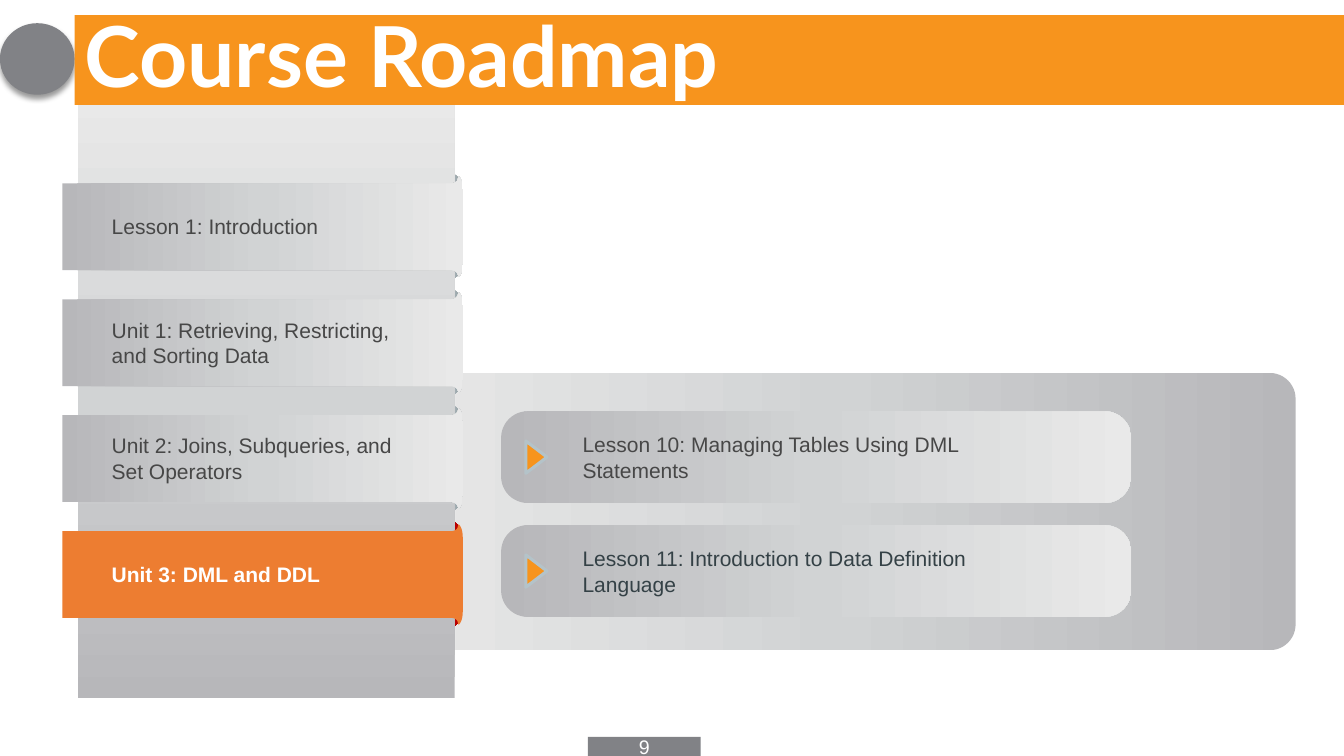
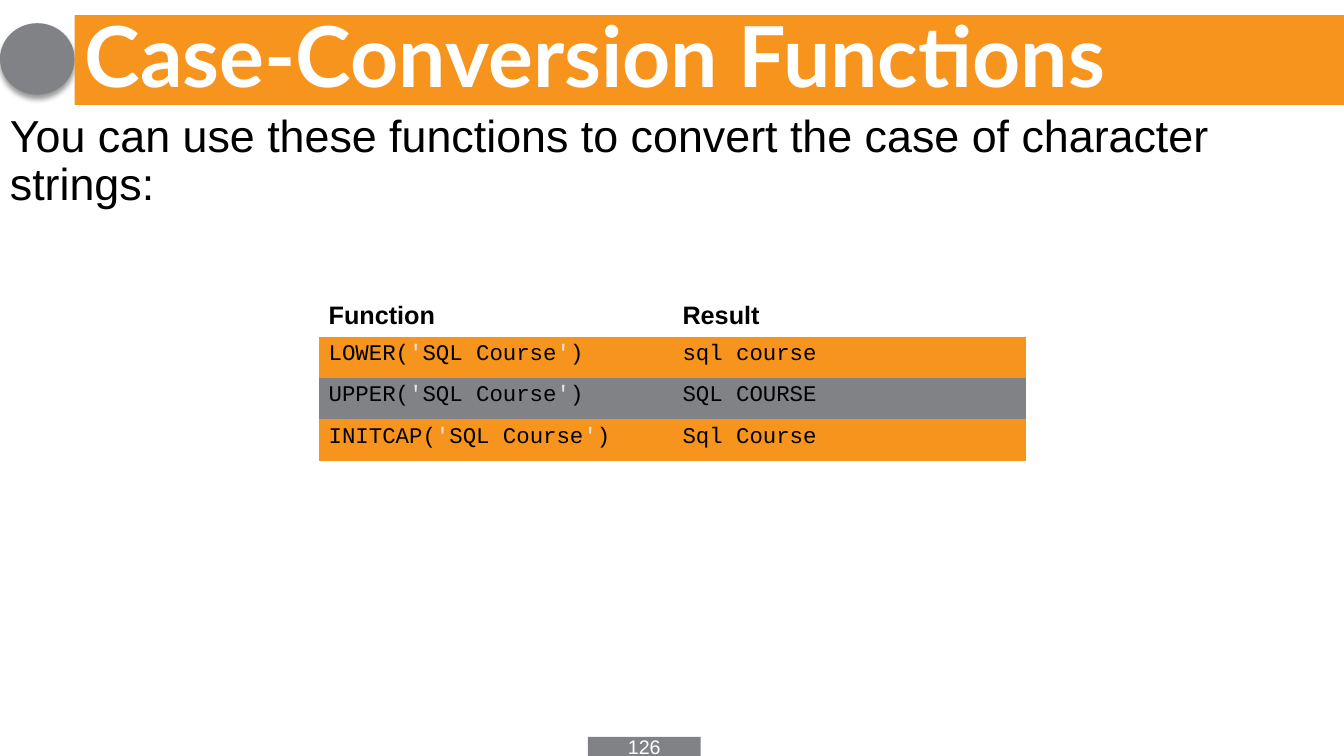
from dataclasses import dataclass

from lxml import etree
from pptx import Presentation
from pptx import util as u
from pptx.dml.color import RGBColor
from pptx.enum import shapes, text
from pptx.oxml import ns

Inches = u.Inches
SHAPE = shapes.MSO_SHAPE


@dataclass(frozen=True)
class Theme:
    orange: str = "F7941D"
    active: str = "ED7D31"
    grey: str = "818286"
    white: str = "FFFFFF"
    black: str = "000000"
    ink: str = "474747"
    slate: str = "344146"
    quote: str = "E7E6E6"
    marker_edge: str = "B4C3C9"
    silver: tuple = ((0, "B7B7BA"), (50, "D1D3D4"), (100, "E9E9E9"))
    tab: tuple = ((0, "DEE4E5"), (77, "DEE4E5"), (99, "96A2A7"), (100, "96A2A7"))
    active_tab: tuple = ((0, "5B9BD5"), (73, "5B9BD5"), (92, "BA0000"), (100, "BA0000"))
    title_font: str = "Lato"
    body_font: str = "Arial"
    code_font: str = "Courier New"
    title_size: int = 60
    body_size: int = 32
    head_size: int = 18
    code_size: int = 16
    label_size: int = 15
    number_size: int = 14


T = Theme()
LABEL = dict(name=T.body_font, size=T.label_size, color=T.ink)
TITLE = dict(name=T.title_font, size=T.title_size, color=T.white, bold=True)
BODY = dict(name=T.body_font, size=T.body_size, color=T.black)
NUMBER = dict(name=T.body_font, size=T.number_size, color=T.white)
HEAD = dict(name=T.body_font, size=T.head_size, color=T.black, bold=True)
CODE = dict(name=T.code_font, size=T.code_size, color=T.black, bold=False)
NO_GRID_STYLE = "{2D5ABB26-0587-4C30-8999-92F81FD0307C}"


def set_font(font, style):
    for key, value in style.items():
        if key == "color":
            font.color.rgb = RGBColor.from_string(value)
        else:
            setattr(font, key, u.Pt(value) if key == "size" else value)


def write(frame, words, style, anchor=text.MSO_ANCHOR.MIDDLE, **paragraph_format):
    frame.word_wrap = True
    frame.vertical_anchor = anchor
    paragraph = frame.paragraphs[0]
    for key, value in {"alignment": text.PP_ALIGN.LEFT, **paragraph_format}.items():
        setattr(paragraph, key, value)
    run = paragraph.add_run()
    run.text = words
    set_font(run.font, style)


def add_label(slide, box, words, style, **options):
    label = slide.shapes.add_textbox(*map(Inches, box))
    write(label.text_frame, words, style, **options)


def paint(shape, fill, angle=0):
    """Fill with one colour, or with gradient stops at a clockwise angle."""
    shape.shadow.inherit = False
    shape.line.fill.background()
    if isinstance(fill, str):
        shape.fill.solid()
        shape.fill.fore_color.rgb = RGBColor.from_string(fill)
        return
    shape.fill.gradient()
    shape.fill.gradient_angle = -angle % 360
    stops = shape.element.spPr.find(".//" + ns.qn("a:gsLst"))
    for stop in list(stops):
        stops.remove(stop)
    for percent, color in fill:
        stop = etree.SubElement(stops, ns.qn("a:gs"), pos=str(percent * 1000))
        etree.SubElement(stop, ns.qn("a:srgbClr"), val=color)


def add_block(slide, kind, box, fill, angle=0, corner=None):
    block = slide.shapes.add_shape(kind, *map(Inches, box))
    paint(block, fill, angle)
    if corner is not None:
        block.adjustments[0] = corner
    return block


def add_soft_shadow(shape):
    effects = shape.element.spPr.find(ns.qn("a:effectLst"))
    shadow = etree.SubElement(
        effects, ns.qn("a:outerShdw"), blurRad=str(u.Pt(4)), dist=str(u.Pt(3)),
        dir="5400000", algn="t", rotWithShape="0")
    color = etree.SubElement(shadow, ns.qn("a:srgbClr"), val=T.black)
    etree.SubElement(color, ns.qn("a:alpha"), val="40000")


def curve(start, control_1, control_2, end, steps=6):
    """Points of a cubic curve."""
    points = []
    for step in range(steps + 1):
        t = step / steps
        weights = ((1 - t) ** 3, 3 * t * (1 - t) ** 2, 3 * t * t * (1 - t), t ** 3)
        pairs = zip(start, control_1, control_2, end)
        points.append(tuple(sum(w * v for w, v in zip(weights, axis)) for axis in pairs))
    return points


def add_ribbon(slide, left, top, width, height, fill):
    """Band whose right end flares out and wraps round the column."""
    right = width
    upper = [(0, 0.07)]
    upper += curve((right - 0.12, 0.07), (right - 0.09, 0.07),
                   (right - 0.06, 0.06), (right - 0.05, 0.03))
    upper += curve((right - 0.04, 0), (right - 0.01, 0.03),
                   (right, 0.08), (right, 0.13))
    lower = [(x, height - y) for x, y in reversed(upper)]
    outline = [(Inches(x), Inches(y)) for x, y in upper + lower]
    builder = slide.shapes.build_freeform(*outline[0])
    builder.add_line_segments(outline[1:], close=True)
    paint(builder.convert_to_shape(Inches(left), Inches(top)), fill)


def add_frame(slide, title, number):
    """Title band, disc and page number shared by all slides."""
    add_soft_shadow(add_block(slide, SHAPE.OVAL, (0, 0.23, 0.74, 0.71), T.grey))
    band = add_block(slide, SHAPE.RECTANGLE, (0.74, 0.15, 12.6, 0.89), T.orange)
    write(band.text_frame, title, TITLE, line_spacing=0.9)
    plate = add_block(slide, SHAPE.RECTANGLE, (5.83, 7.31, 1.12, 0.19), T.grey)
    write(plate.text_frame, number, NUMBER, alignment=text.PP_ALIGN.CENTER)


def add_lessons(slide, box, lessons):
    """Panel with one card per lesson."""
    left, top = box[:2]
    add_block(slide, SHAPE.ROUNDED_RECTANGLE, box, T.silver, 180, 0.093)
    for index, (lesson, color) in enumerate(lessons):
        x, y = left + 1.2, top + 0.38 + 1.13 * index
        add_block(slide, SHAPE.ROUNDED_RECTANGLE, (x, y, 6.25, 0.91), T.silver, corner=0.289)
        add_label(slide, (x + 0.71, y + 0.15, 4.47, 0.61), lesson, {**LABEL, "color": color})
        marker = add_block(slide, SHAPE.ISOSCELES_TRIANGLE,
                           (x + 0.19, y + 0.35, 0.32, 0.21), T.orange)
        marker.rotation = 90
        marker.line.color.rgb = RGBColor.from_string(T.marker_edge)
        marker.line.width = u.Pt(2.25)


def add_units(slide, box, units, active):
    """Column with one wrapped ribbon per unit, the active one highlighted."""
    left, top, width, _ = box
    ribbon_tops = [top + 0.83 + 1.15 * index for index in range(len(units))]
    for unit, y in zip(units, ribbon_tops):
        add_block(slide, SHAPE.ROUNDED_RECTANGLE, (left + 2.75, y - 0.04, 1.05, 1.07),
                  T.active_tab if unit == active else T.tab, corner=0.126)
    add_block(slide, SHAPE.RECTANGLE, box, T.silver, 270)
    for unit, y in zip(units, ribbon_tops):
        chosen = unit == active
        style = {**LABEL, "color": T.white, "bold": True} if chosen else LABEL
        add_ribbon(slide, left - 0.15, y, width + 0.23, 1, T.active if chosen else T.silver)
        add_label(slide, (left + 0.24, y + 0.19, 3.26, 0.61), unit, style)


def add_function_table(slide, box, header, rows):
    left, top, width, height = box
    grid = slide.shapes.add_table(len(rows) + 1, 2, *map(Inches, box)).table
    grid.horz_banding = False
    grid._tbl.tblPr.find(ns.qn("a:tableStyleId")).text = NO_GRID_STYLE
    for column in grid.columns:
        column.width = Inches(width / 2)
    header_height = 0.25
    for index, row in enumerate(grid.rows):
        row.height = Inches((height - header_height) / len(rows) if index else header_height)
    for column, heading in enumerate(header):
        cell = grid.cell(0, column)
        cell.fill.background()
        write(cell.text_frame, heading, HEAD, text.MSO_ANCHOR.TOP)
    for index, values in enumerate(rows, 1):
        for column, value in enumerate(values):
            cell = grid.cell(index, column)
            cell.fill.solid()
            cell.fill.fore_color.rgb = RGBColor.from_string(T.orange if index % 2 else T.grey)
            for part in value.replace("'", "|'|").split("|"):
                color = T.quote if part == "'" else T.black
                write(cell.text_frame, part, {**CODE, "color": color}, text.MSO_ANCHOR.TOP)


def build_roadmap(slide):
    add_lessons(slide, (3.77, 3.7, 9.08, 2.75), [
        ("Lesson 10: Managing Tables Using DML Statements", T.ink),
        ("Lesson 11: Introduction to Data Definition Language", T.slate),
    ])
    units = [
        "Lesson 1: Introduction",
        "Unit 1: Retrieving, Restricting, and Sorting Data",
        "Unit 2: Joins, Subqueries, and Set Operators",
        "Unit 3: DML and DDL",
    ]
    add_units(slide, (0.77, 0.92, 3.74, 6.01), units, active=units[-1])
    add_frame(slide, "Course Roadmap", "9")


def build_case_functions(slide):
    add_frame(slide, "Case-Conversion Functions", "126")
    add_label(slide, (0, 1.08, 13.33, 1.1),
              "You can use these functions to convert the case of character strings:",
              BODY, anchor=text.MSO_ANCHOR.TOP, line_spacing=0.9)
    add_function_table(slide, (3.16, 2.94, 7.02, 1.48), ("Function", "Result"), [
        ("LOWER('SQL Course')", "sql course"),
        ("UPPER('SQL Course')", "SQL COURSE"),
        ("INITCAP('SQL Course')", "Sql Course"),
    ])


def main():
    deck = Presentation()
    deck.slide_width, deck.slide_height = Inches(13.33), Inches(7.5)
    for build in (build_roadmap, build_case_functions):
        build(deck.slides.add_slide(deck.slide_layouts[6]))
    deck.save("out.pptx")


if __name__ == "__main__":
    main()
